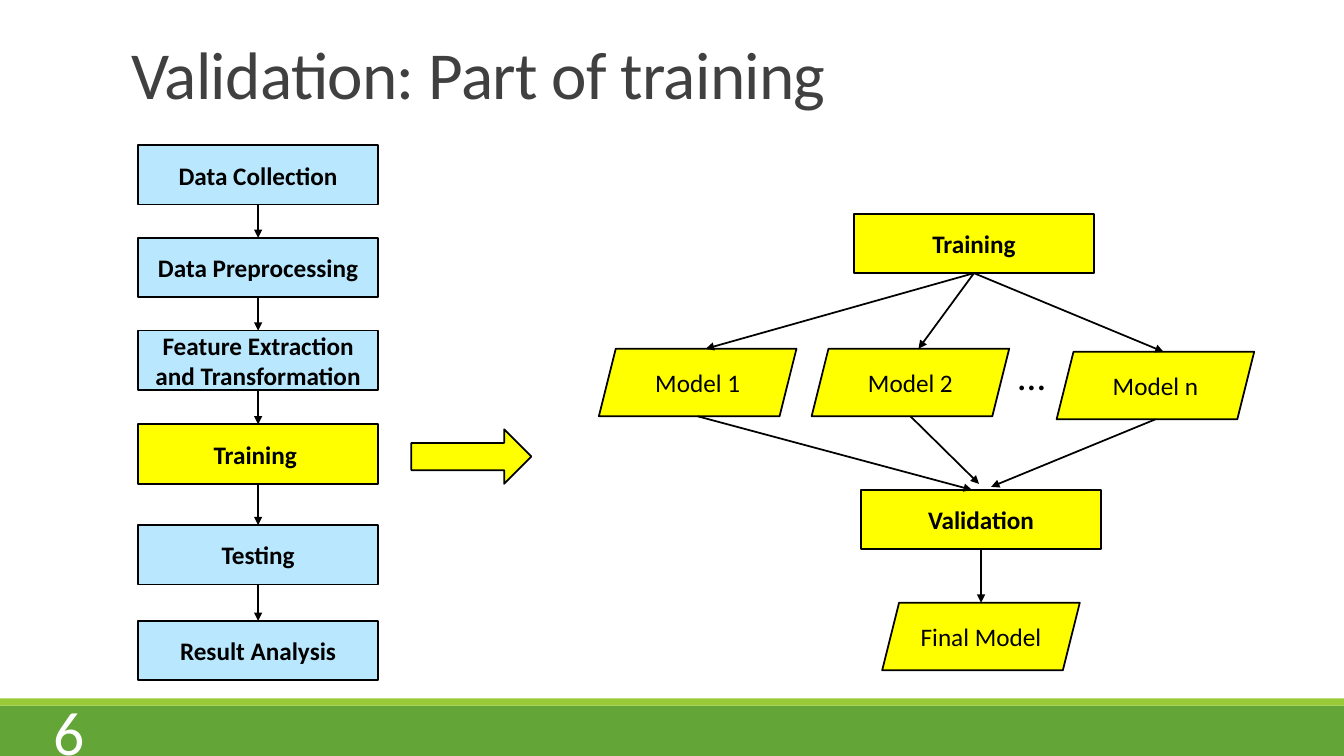
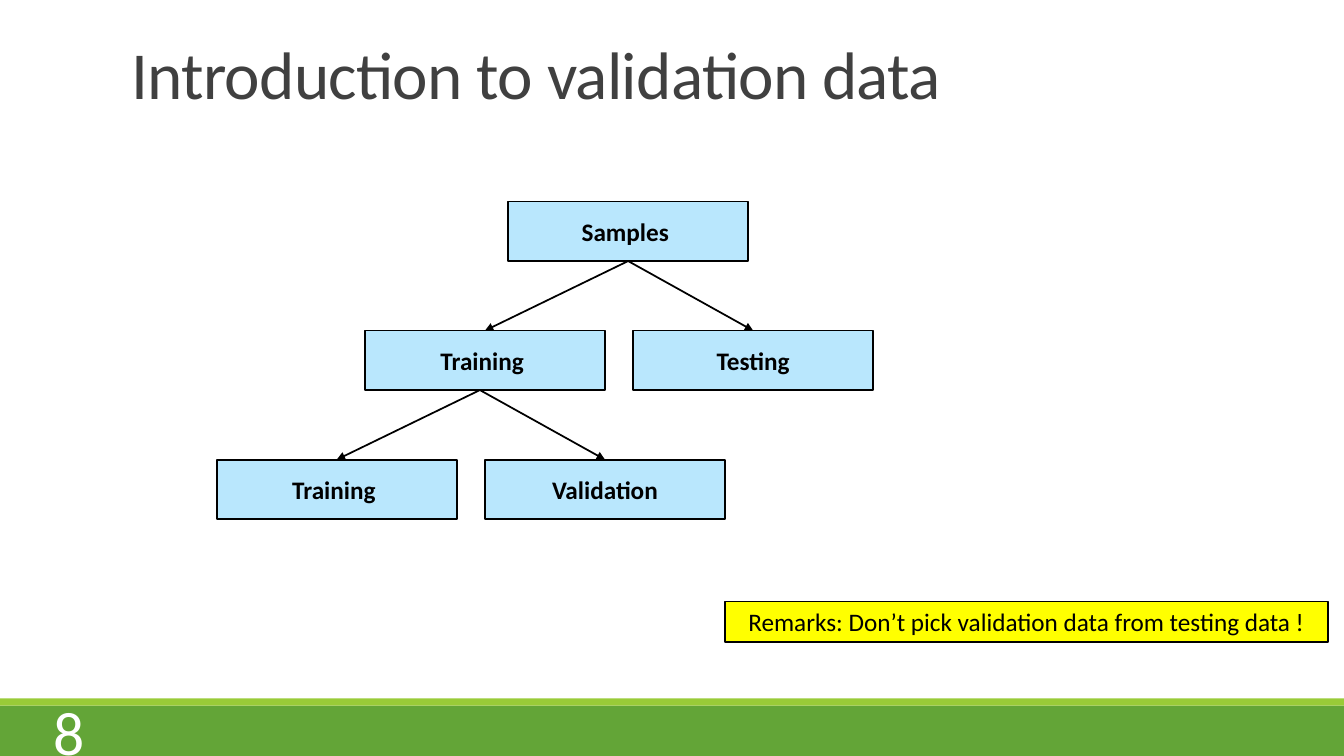
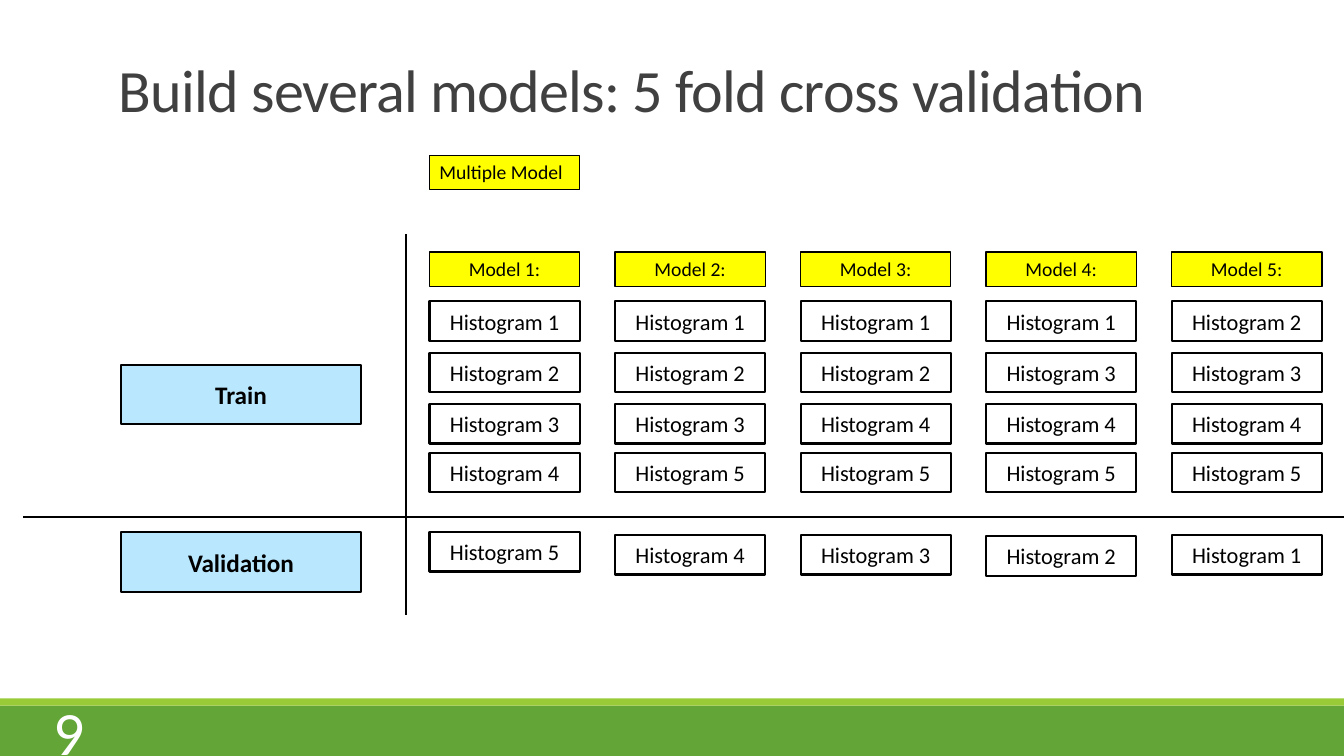
from lxml import etree
from pptx import Presentation
from pptx import util as u
from pptx.dml.color import RGBColor
from pptx.enum import shapes, text
from pptx.oxml.ns import qn

FONT = "Calibri"
COLORS = {
    "band": "63A537", "stripe": "99CB38", "title": "404040", "ink": "000000",
    "white": "FFFFFF", "step": "B9E7FD", "focus": "FFFF00",
}
WIDTH, HEIGHT = 13.33, 7.5
STEP_W, STEP_H = 2.38, 0.59
MODEL_W, MODEL_H = 1.96, 0.67
RECT = shapes.MSO_SHAPE.RECTANGLE
SLANTED = shapes.MSO_SHAPE.PARALLELOGRAM
LEFT, CENTER, RIGHT = text.PP_ALIGN.LEFT, text.PP_ALIGN.CENTER, text.PP_ALIGN.RIGHT
TOP, MIDDLE, BOTTOM = text.MSO_ANCHOR.TOP, text.MSO_ANCHOR.MIDDLE, text.MSO_ANCHOR.BOTTOM


def color(name):
    return RGBColor.from_string(COLORS[name])


def inches(*lengths):
    return [u.Inches(length) for length in lengths]


def write(shape, words, size, ink="ink", bold=False, align=CENTER, anchor=MIDDLE, wrap=True):
    frame = shape.text_frame
    frame.word_wrap = wrap
    frame.auto_size = text.MSO_AUTO_SIZE.NONE
    frame.vertical_anchor = anchor
    para = frame.paragraphs[0]
    para.alignment = align
    span = para.add_run()
    span.text = words
    span.font.name = FONT
    span.font.size = u.Pt(size)
    span.font.bold = bold
    span.font.color.rgb = color(ink)
    return para, span


def draw(page, kind, at, fill=None, line=1.25):
    """Add a preset shape; no fill or no line when that argument is None."""
    shape = page.shapes.add_shape(kind, *inches(*at))
    shape.shadow.inherit = False
    if fill:
        shape.fill.solid()
        shape.fill.fore_color.rgb = color(fill)
    else:
        shape.fill.background()
    if line:
        shape.line.color.rgb = color("ink")
        shape.line.width = u.Pt(line)
    else:
        shape.line.fill.background()
    return shape


def step(page, words, left, top, fill="step"):
    box = draw(page, RECT, (left, top, STEP_W, STEP_H), fill)
    write(box, words, 18, bold=True)
    return box


def model(page, words, left, top):
    write(draw(page, SLANTED, (left, top, MODEL_W, MODEL_H), "focus"), words, 18)


def tag(page, words, at, size, align=CENTER):
    write(draw(page, RECT, at, "focus", 1), words, size, align=align, anchor=TOP)


def link(page, start, finish, arrow=True):
    """Join two ends, each a point or a box (left at its bottom, entered at its top)."""
    points = [end if isinstance(end, tuple) else (0, 0) for end in (start, finish)]
    connector = page.shapes.add_connector(
        shapes.MSO_CONNECTOR.STRAIGHT, *inches(*points[0], *points[1]))
    if not isinstance(start, tuple):
        connector.begin_connect(start, 2)
    if not isinstance(finish, tuple):
        connector.end_connect(finish, 0)
    connector.line.color.rgb = color("ink")
    connector.line.width = u.Pt(1.25)
    properties = connector.element.spPr
    if arrow:
        etree.SubElement(properties.find(qn("a:ln")), qn("a:tailEnd"), type="triangle")
    etree.SubElement(properties, qn("a:effectLst"))


def add_bands(deck, page):
    """Draw the bottom bands and move them to the master, behind everything."""
    for fill, top, height in (("stripe", 6.93, 0.07), ("band", 7, 0.5)):
        band = draw(page, RECT, (0, top, WIDTH, height), fill, None)
        deck.slide_master.shapes.element.insert(2, band.element)


def add_page(deck, title, number, left=1.2, top=0.11, size=48):
    page = deck.slides.add_slide(deck.slide_layouts[5])
    heading = page.shapes.title
    heading.left, heading.top, heading.width, heading.height = inches(left, top, 11, 1.06)
    para, span = write(heading, title, size, "title", align=LEFT, anchor=BOTTOM)
    para.line_spacing = 0.85
    span.font._element.set("spc", "-50")
    box = page.shapes.add_textbox(*inches(-0.49, 7.05, 1.43, 0.4))
    write(box, number, 44, "white", align=RIGHT)
    return page


def pipeline(page, left, top):
    steps = (
        ("Data Collection", 0), ("Data Preprocessing", 0.92),
        ("Feature Extraction and Transformation", 1.84), ("Training ", 2.77),
        ("Testing", 3.77), ("Result Analysis", 4.72),
    )
    previous = None
    for words, drop in steps:
        fill = "focus" if words == "Training " else "step"
        box = step(page, words, left, top + drop, fill)
        if previous:
            link(page, previous, box)
        previous = box


def model_selection(page, left, top):
    training = step(page, "Training", left + 2.53, top, "focus")
    validation = step(page, "Validation", left + 2.6, top + 2.74, "focus")
    # name, offset of the slanted box, where its arrow reaches validation
    models = (
        ("Model 1", 0, 1.34, (3.7, 2.74)),
        ("Model 2", 2.11, 1.34, (3.77, 2.68)),
        ("Model n", 4.54, 1.37, (3.89, 2.71)),
    )
    for words, across, down, (end_x, end_y) in models:
        x, y = left + across, top + down
        model(page, words, x, y)
        link(page, training, (x + 1.06, y))
        link(page, (x + 0.98, y + MODEL_H), (left + end_x, top + end_y))
    dots = page.shapes.add_textbox(*inches(left + 4.06, top + 1.32, 0.47, 0.57))
    write(dots, "…", 28, align=LEFT, anchor=TOP, wrap=False)
    model(page, "Final Model", left + 2.81, top + 3.86)
    link(page, validation, (left + 3.79, top + 3.86))


def sample_split(page, left, top):
    row = 1.28
    samples = step(page, "Samples ", left + 2.89, top)
    levels = (
        (samples, 1.47, row, ("Training ", "Testing")),
        ((left + 2.61, top + row + STEP_H), 0, 2 * row, ("Training ", "Validation")),
    )
    for parent, across, down, names in levels:
        for column, words in enumerate(names):
            link(page, parent, step(page, words, left + across + column * 2.66, top + down))


def fold_grid(page, left, top):
    """Five models side by side, each holding out another histogram."""
    pitch, width, height = 1.84, 1.49, 0.39
    train_rows = (0.49, 1, 1.51, 1.99)
    held_rows = (2.78, 2.81, 2.81, 2.82, 2.81)
    for column, held_row in enumerate(held_rows):
        x, held = left + column * pitch, 5 - column
        tag(page, f"Model {column + 1}:", (x, top, width, 0.34), 14)
        kept = [number for number in range(1, 6) if number != held]
        for number, row in zip(kept + [held], train_rows + (held_row,)):
            cell = draw(page, RECT, (x, top + row, width, height), line=1.5)
            write(cell, f"Histogram {number}", 16)
    for words, drop in (("Train", 1.12), ("Validation", 2.78)):
        step(page, words, left - 3.06, top + drop)
    link(page, (left - 0.23, top - 0.18), (left - 0.23, top + 3.6), arrow=False)
    link(page, (left - 4.03, top + 2.63), (WIDTH, top + 2.63), arrow=False)


def main():
    deck = Presentation()
    deck.slide_width, deck.slide_height = inches(WIDTH, HEIGHT)

    page = add_page(deck, "Validation: Part of training", "6")
    add_bands(deck, page)
    pipeline(page, 1.37, 1.44)
    model_selection(page, 5.94, 2.12)
    draw(page, shapes.MSO_SHAPE.RIGHT_ARROW, (4.08, 4.26, 1.19, 0.54), "focus")

    page = add_page(deck, "Introduction to validation data", "8")
    sample_split(page, 2.15, 2)
    tag(page, "Remarks: Don’t pick validation data from testing data !",
        (7.19, 5.97, 5.98, 0.4), 18)

    page = add_page(deck, "Build several models: 5 fold cross validation", "9",
                    left=1.08, top=0.23, size=42.9)
    tag(page, "Multiple Model", (4.26, 1.54, 1.49, 0.34), 14, LEFT)
    fold_grid(page, 4.26, 2.5)

    deck.save("out.pptx")


if __name__ == "__main__":
    main()
